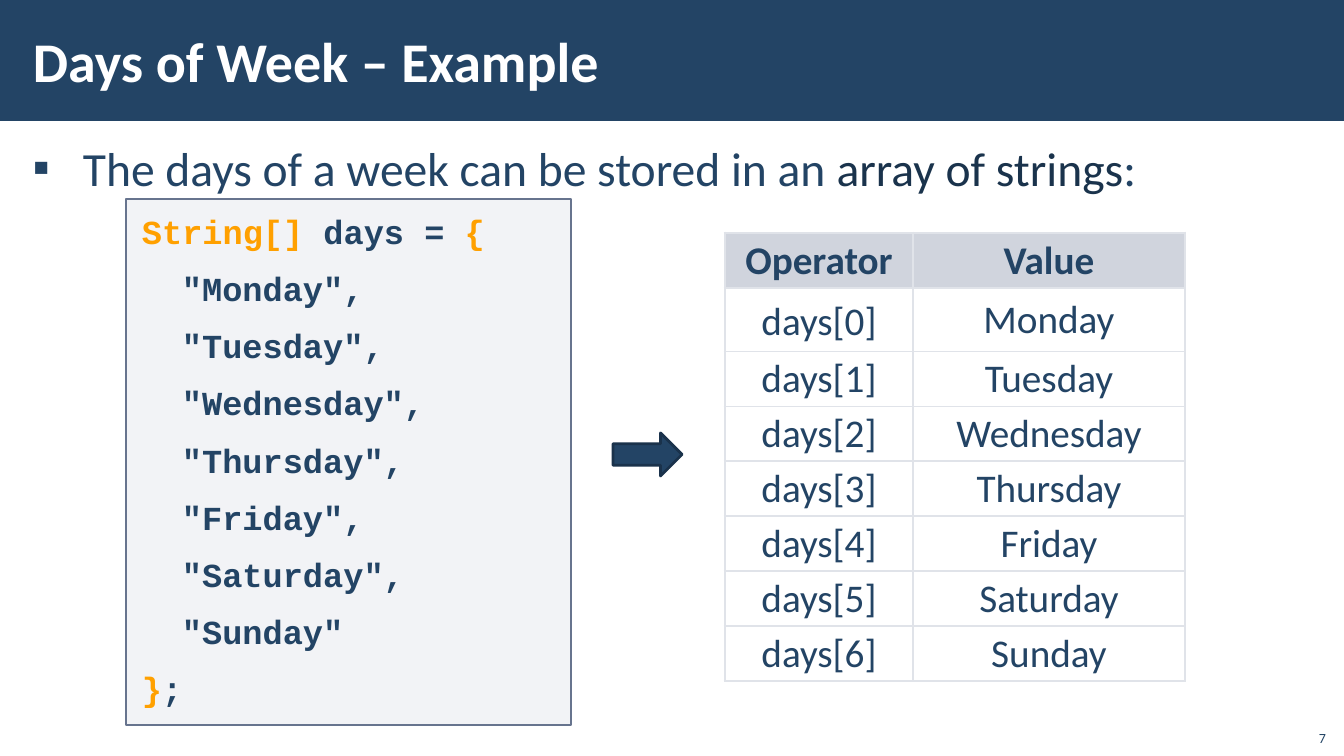
"""Build the slide on storing the days of a week in an array of strings."""
import pptx
import pptx.util
import pptx.dml.color
import pptx.enum.shapes
import pptx.enum.text
import pptx.oxml
import pptx.oxml.ns
import lxml.etree

PX = 914400 / 100.8
COLORS = {"navy": "234465", "dark": "1A334C", "edge": "1A324B", "white": "FFFFFF",
          "gold": "FFA000", "code": "ADB4C3", "frame": "67748E",
          "head": "A3ABBC", "grid": "E0E3E9"}
Pt = pptx.util.Pt
Align = pptx.enum.text.PP_ALIGN
Anchor = pptx.enum.text.MSO_ANCHOR
Shape = pptx.enum.shapes.MSO_SHAPE
qn = pptx.oxml.ns.qn


def paint(fill, name, alpha=100):
    """Fill solidly, with an opacity in percent."""
    fill.solid()
    fill.fore_color.rgb = pptx.dml.color.RGBColor.from_string(COLORS[name])
    if alpha < 100:
        color = fill._xPr.find(qn("a:solidFill"))[0]
        lxml.etree.SubElement(color, qn("a:alpha")).set("val", str(alpha * 1000))


def write(para, text, size, name="navy", bold=False, font="Calibri"):
    """Add one run to a paragraph."""
    run = para.add_run()
    run.text = text
    run.font.size = Pt(size)
    run.font.name = font
    run.font.bold = bold
    paint(run.font.fill, name)


deck = pptx.Presentation()
deck.slide_width, deck.slide_height = round(1344 * PX), round(756 * PX)
slide = deck.slides.add_slide(deck.slide_layouts[6])

shapes = []
for kind, box, fill, alpha, line, width in [
        (Shape.RECTANGLE, (0, 0, 1344, 121), "navy", 100, None, 0),
        (Shape.RECTANGLE, (126, 199, 445, 526), "code", 15, "frame", 1),
        (Shape.RIGHT_ARROW, (613, 433, 69, 43), "navy", 100, "edge", 2)]:
    shape = slide.shapes.add_shape(kind, *[round(v * PX) for v in box])
    shape.shadow.inherit = False
    paint(shape.fill, fill, alpha)
    if line:
        paint(shape.line.fill, line)
        shape.line.width = Pt(width)
    else:
        shape.line.fill.background()
    shapes.append(shape)

frames = []
for box, anchor in [((21, 11, 1072, 98), Anchor.MIDDLE),
                    ((21, 132, 1302, 613), Anchor.TOP),
                    ((1295, 718, 40, 32), Anchor.BOTTOM)]:
    frame = slide.shapes.add_textbox(*[round(v * PX) for v in box]).text_frame
    frame.word_wrap = True
    frame.vertical_anchor = anchor
    frame.margin_left = frame.margin_right = round(12 * PX)
    frame.margin_top = frame.margin_bottom = round(4 * PX)
    frames.append(frame)
title, body, number = [frame.paragraphs[0] for frame in frames]
write(title, "Days of Week – Example", 40, "white", True)

body.line_spacing = 1.05
body.space_before = body.space_after = Pt(6)
props = body._p.get_or_add_pPr()
props.set("marL", str(round(50 * PX)))
props.set("indent", str(round(-50 * PX)))
lxml.etree.SubElement(props, qn("a:buFont")).set("typeface", "Calibri")
lxml.etree.SubElement(props, qn("a:buChar")).set("char", "▪")
write(body, "The days of a week can be stored in an ", 34)
write(body, "array of strings", 34, "dark")
write(body, ":", 34)

frames[2].margin_left = frames[2].margin_right = round(9 * PX)
number.alignment = Align.RIGHT
write(number, "7", 10)

days = ["Monday", "Tuesday", "Wednesday", "Thursday", "Friday", "Saturday", "Sunday"]
lines = [[("String[]", "gold"), (" days = ", "navy"), ("{", "gold")]]
lines += [[(f'"{day}"' + ("," if day != days[-1] else ""), "navy")] for day in days]
lines += [[("}", "gold"), (";", "navy")]]
code = shapes[1].text_frame
code.word_wrap = True
code.vertical_anchor = Anchor.TOP
code.margin_left = code.margin_right = round(16 * PX)
code.margin_top = code.margin_bottom = round(12 * PX)
for i, line in enumerate(lines):
    para = code.add_paragraph() if i else code.paragraphs[0]
    para.alignment = Align.LEFT
    para.line_spacing = 1.0
    para.space_before = para.space_after = Pt(6)
    if 0 < i <= len(days):
        para._p.get_or_add_pPr().set("marL", str(round(40 * PX)))
    for text, name in line:
        write(para, text, 24, name, True, "Courier New")

rows = [("Operator", "Value")] + [(f"days[{i}]", day) for i, day in enumerate(days)]
box = [round(v * PX) for v in (725, 233, 460, 448)]
table = slide.shapes.add_table(len(rows), 2, *box).table
table.horz_banding = False
for col, width in zip(table.columns, (188, 272)):
    col.width = round(width * PX)
for r, row in enumerate(rows):
    table.rows[r].height = round((63 if r == 1 else 55) * PX)
    for c, text in enumerate(row):
        cell = table.cell(r, c)
        cell.vertical_anchor = Anchor.MIDDLE
        cell.margin_left = cell.margin_right = round(16 * PX)
        cell.margin_top = cell.margin_bottom = round(5 * PX)
        para = cell.text_frame.paragraphs[0]
        para.alignment = Align.CENTER
        para.line_spacing = Pt(38) if (r, c) == (1, 0) else 0.95
        write(para, text, 28, bold=r == 0)
        props = cell._tc.get_or_add_tcPr()
        thick = {"lnL": c == 0, "lnR": c == 1, "lnT": r < 2, "lnB": r == 0}
        for side, heavy in thick.items():
            edge = lxml.etree.SubElement(props, qn("a:" + side))
            edge.set("w", str(Pt(2.25 if heavy else 1)))
            solid = lxml.etree.SubElement(edge, qn("a:solidFill"))
            lxml.etree.SubElement(solid, qn("a:srgbClr")).set("val", COLORS["grid"])
        if r == 0:
            paint(cell.fill, "head", 50)
        else:
            cell.fill.background()

deck.save("out.pptx")
